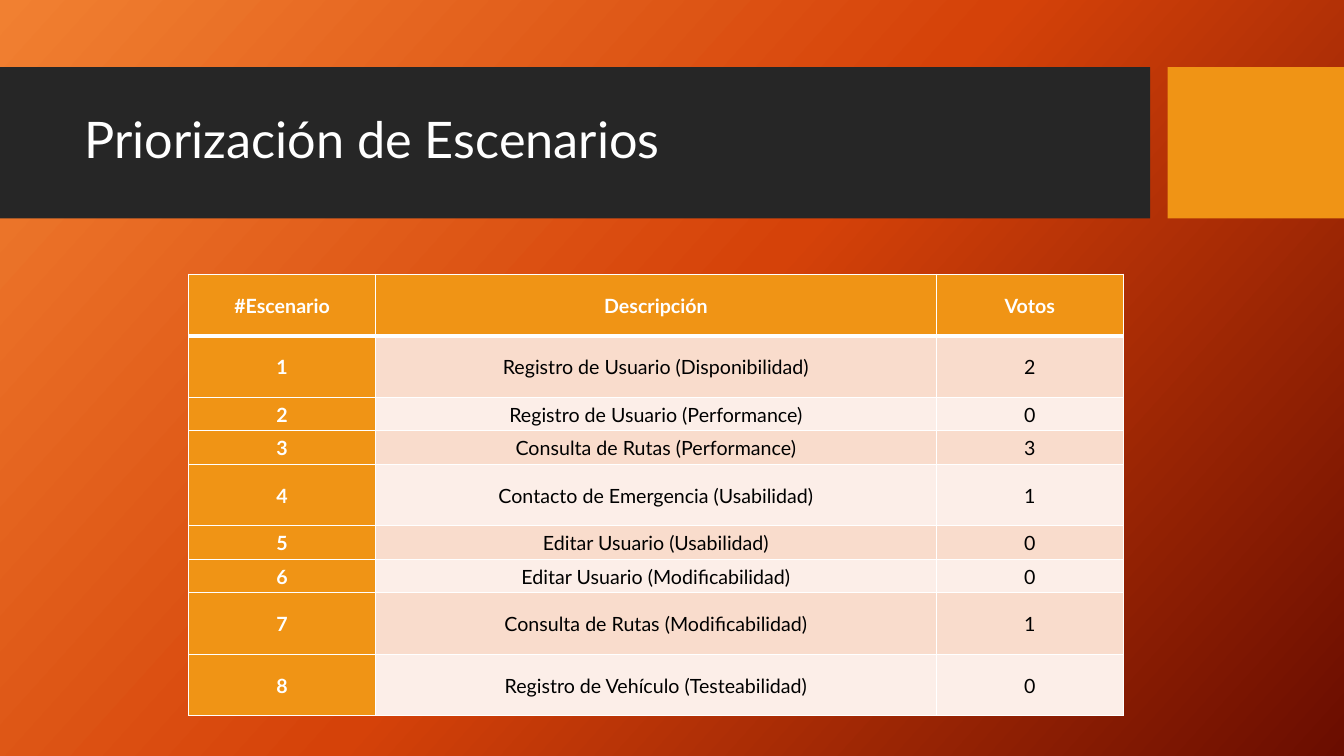
from copy import deepcopy

from lxml import etree
from pptx import Presentation
from pptx.dml.color import RGBColor
from pptx.enum.shapes import MSO_SHAPE as SHAPE
from pptx.enum.text import MSO_ANCHOR as ANCHOR, PP_ALIGN as ALIGN
from pptx.oxml.ns import qn
from pptx.util import Pt

FONT = "Lato"
WHITE, BLACK, DARK, ORANGE = "FFFFFF", "000000", "262626", "F09415"
BANDS = ["F9DCCC", "FCEEE8"]
BACKDROP = [(0, "F18031"), (0.5, "D54209"), (1, "6A0D00")]
TALL, SHORT = 44, 23.9

HEADERS = ["#Escenario", "Descripción", "Votos"]
COLUMN_WIDTHS = [133.9, 400.2, 133.9]
SCENARIOS = [
    ("Registro de Usuario (Disponibilidad)", 2, TALL),
    ("Registro de Usuario (Performance)", 0, SHORT),
    ("Consulta de Rutas (Performance)", 3, SHORT),
    ("Contacto de Emergencia (Usabilidad)", 1, TALL),
    ("Editar Usuario (Usabilidad)", 0, SHORT),
    ("Editar Usuario (Modificabilidad)", 0, SHORT),
    ("Consulta de Rutas (Modificabilidad)", 1, TALL),
    ("Registro de Vehículo (Testeabilidad)", 0, TALL),
]


def rgb(color):
    return RGBColor.from_string(color)


def set_font(p, size, color, bold=False):
    p.font.name, p.font.size, p.font.bold = FONT, Pt(size), bold
    p.font.color.rgb = rgb(color)


def add_backdrop(s):
    fill = s.background.fill
    fill.gradient()
    fill.gradient_angle = 318
    stops = next(s.element.iter(qn("a:gsLst")))
    stops.append(deepcopy(stops[-1]))
    for stop, (position, color) in zip(fill.gradient_stops, BACKDROP):
        stop.position = position
        stop.color.rgb = rgb(color)


def add_block(s, x, y, w, h, color):
    sp = s.shapes.add_shape(SHAPE.RECTANGLE, Pt(x), Pt(y), Pt(w), Pt(h))
    sp.shadow.inherit = False
    sp.fill.solid()
    sp.fill.fore_color.rgb = rgb(color)
    sp.line.fill.background()


def add_title_band(s, x, y, w, h, title):
    accent_w, gap = 126, 12.4
    bar_w = w - accent_w - gap
    add_block(s, x, y, bar_w, h, DARK)
    add_block(s, x + w - accent_w, y, accent_w, h, ORANGE)
    box = s.shapes.add_textbox(Pt(x + 53.3), Pt(y + 10.8), Pt(bar_w - 64.8), Pt(85))
    tf = box.text_frame
    tf.word_wrap = True
    tf.vertical_anchor = ANCHOR.MIDDLE
    p = tf.paragraphs[0]
    p.text = title
    p.line_spacing = 0.9
    set_font(p, 36, WHITE)


def set_borders(cell, **widths):
    tcPr = cell._tc.get_or_add_tcPr()
    for side in "LRTB":
        ln = etree.SubElement(tcPr, qn(f"a:ln{side}"), w=str(Pt(widths.get(side, 1))))
        fill = etree.SubElement(ln, qn("a:solidFill"))
        etree.SubElement(fill, qn("a:srgbClr"), val=WHITE)


def fill_cell(cell, text, row, col):
    heading = row == 0 or col == 0
    set_borders(cell, T=3 if row == 1 else 1, B=3 if row == 0 else 1)
    cell.fill.solid()
    cell.fill.fore_color.rgb = rgb(ORANGE if heading else BANDS[(row - 1) % 2])
    cell.margin_left = cell.margin_right = Pt(3.6)
    cell.margin_top = cell.margin_bottom = 0
    cell.vertical_anchor = ANCHOR.MIDDLE
    p = cell.text_frame.paragraphs[0]
    p.text = str(text)
    p.alignment = ALIGN.CENTER
    p.line_spacing = 1.07
    set_font(p, 14, WHITE if heading else BLACK, heading)


def add_votes_table(s, x, y):
    rows = [HEADERS] + [(n, name, votes) for n, (name, votes, _) in enumerate(SCENARIOS, 1)]
    heights = [TALL] + [height for _, _, height in SCENARIOS]
    table = s.shapes.add_table(len(rows), len(HEADERS), Pt(x), Pt(y),
                               Pt(sum(COLUMN_WIDTHS)), Pt(sum(heights))).table
    for column, width in zip(table.columns, COLUMN_WIDTHS):
        column.width = Pt(width)
    for i, (values, height) in enumerate(zip(rows, heights)):
        table.rows[i].height = Pt(height)
        for j, value in enumerate(values):
            fill_cell(table.cell(i, j), value, i, j)


def main():
    prs = Presentation()
    prs.slide_width, prs.slide_height = Pt(960), Pt(540)
    s = prs.slides.add_slide(prs.slide_layouts[6])
    add_backdrop(s)
    add_title_band(s, 0, 48, 960, 108, "Priorización de Escenarios")
    add_votes_table(s, 134.6, 195.8)
    prs.save("out.pptx")


if __name__ == "__main__":
    main()
